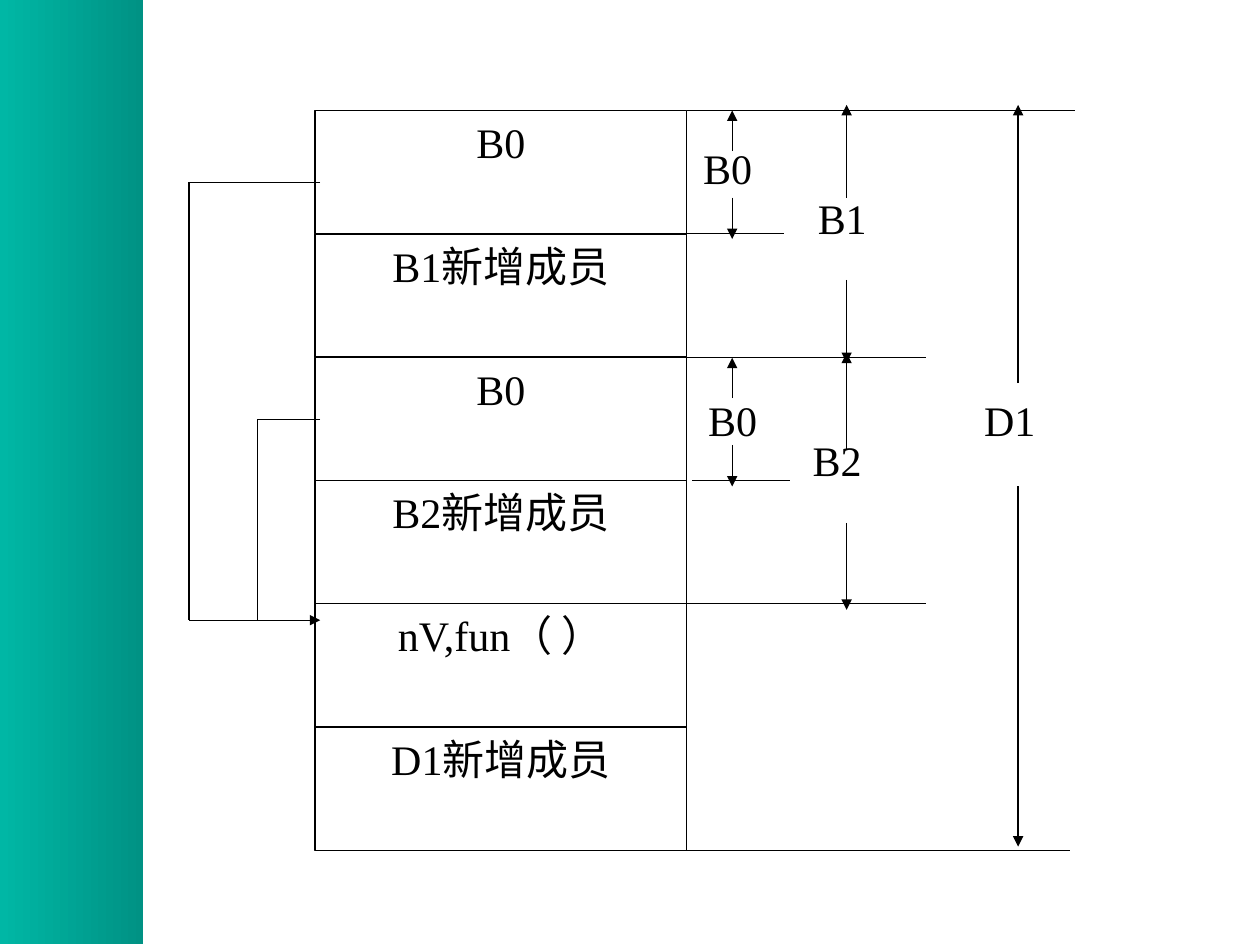
from dataclasses import dataclass

from lxml.etree import SubElement
from pptx import Presentation
from pptx.dml.color import RGBColor
from pptx.enum.shapes import MSO_CONNECTOR as Connector, MSO_SHAPE as Shape
from pptx.enum.text import MSO_ANCHOR as Anchor, PP_ALIGN as Align
from pptx.oxml.ns import qn
from pptx.util import Pt


@dataclass(frozen=True)
class Theme:
    ink: RGBColor = RGBColor(0x00, 0x00, 0x00)
    band_start: RGBColor = RGBColor(0x00, 0xB7, 0xA5)
    band_end: RGBColor = RGBColor(0x00, 0x92, 0x84)
    font: str = "Times New Roman"
    text_size: float = 24
    line_width: float = 0.75


@dataclass(frozen=True)
class Extension:
    """Horizontal line at a row boundary."""
    row: int
    left: float
    right: float


@dataclass(frozen=True)
class Dimension:
    """Two arrows pointing away from a label."""
    label: str
    label_left: float
    label_top: float
    x: float
    top: float
    upper_start: float
    lower_start: float
    bottom: float


THEME = Theme()
CELL_LEFT, CELL_WIDTH = 180, 212.4
CELL_RIGHT = CELL_LEFT + CELL_WIDTH
FIRST_TOP, ROW_HEIGHT = 63.2, 70.45

CELLS = ["B0", "B1新增成员", "B0", "B2新增成员", "nV,fun（ ）", "D1新增成员"]
EXTENSIONS = [
    Extension(0, CELL_RIGHT, 614.4),
    Extension(1, CELL_RIGHT, 448),
    Extension(2, CELL_RIGHT, 529),
    Extension(3, 395.5, 451.2),
    Extension(4, CELL_RIGHT, 529),
    Extension(6, 389, 611.2),
]
DIMENSIONS = [
    Dimension("B0", 401.8, 81.4, 418.4, 63.2, 86.4, 113, 136.6),
    Dimension("B1", 467.3, 110.2, 483.8, 60, 113, 160, 207.4),
    Dimension("B0", 404.6, 225.4, 418.4, 204.4, 227.5, 254.2, 278),
    Dimension("B2", 464.4, 248.4, 483.8, 201.6, 257, 298.8, 348.5),
    Dimension("D1", 562.3, 225.4, 581.8, 60, 218.9, 278, 483.8),
]


def row_top(row: int) -> float:
    return FIRST_TOP + row * ROW_HEIGHT


def write_text(shape, text: str, *, align=Align.CENTER, inset: float = 0) -> None:
    frame = shape.text_frame
    frame.word_wrap = True
    frame.vertical_anchor = Anchor.TOP
    frame.margin_left = frame.margin_right = 0
    frame.margin_top = frame.margin_bottom = Pt(inset)
    paragraph = frame.paragraphs[0]
    paragraph.alignment = align
    run = paragraph.add_run()
    run.text = text
    run.font.name = THEME.font
    run.font.size = Pt(THEME.text_size)
    run.font.color.rgb = THEME.ink


def draw_line(slide, x1: float, y1: float, x2: float, y2: float,
              arrow: bool = False) -> None:
    connector = slide.shapes.add_connector(
        Connector.STRAIGHT, Pt(x1), Pt(y1), Pt(x2), Pt(y2))
    connector.line.color.rgb = THEME.ink
    connector.line.width = Pt(THEME.line_width)
    if arrow:
        SubElement(connector.line._get_or_add_ln(), qn("a:tailEnd"), type="triangle")
    SubElement(connector._element.spPr, qn("a:effectLst"))


def draw_band(slide) -> None:
    band = slide.shapes.add_shape(Shape.RECTANGLE, 0, 0, Pt(82), Pt(539.5))
    band.shadow.inherit = False
    band.line.fill.background()
    band.fill.gradient()
    band.fill.gradient_angle = 0
    colors = (THEME.band_start, THEME.band_end)
    for stop, position, color in zip(band.fill.gradient_stops, (0, 1), colors):
        stop.position = position
        stop.color.rgb = color


def draw_cell(slide, row: int, text: str) -> None:
    cell = slide.shapes.add_shape(
        Shape.RECTANGLE, Pt(CELL_LEFT), Pt(row_top(row)), Pt(CELL_WIDTH), Pt(ROW_HEIGHT))
    cell.shadow.inherit = False
    cell.fill.background()
    cell.line.color.rgb = THEME.ink
    cell.line.width = Pt(THEME.line_width)
    write_text(cell, text, inset=3.6)


def draw_dimension(slide, item: Dimension) -> None:
    draw_line(slide, item.x, item.upper_start, item.x, item.top, arrow=True)
    draw_line(slide, item.x, item.lower_start, item.x, item.bottom, arrow=True)
    label = slide.shapes.add_textbox(
        Pt(item.label_left), Pt(item.label_top), Pt(59), Pt(44))
    write_text(label, item.label, align=Align.JUSTIFY)


def draw_pointers(slide) -> None:
    outer_x, inner_x, end_x, target_y = 108, 147, 183, 354.4
    for x, y in ((outer_x, 104.2), (inner_x, 239.6)):
        draw_line(slide, end_x, y, x, y)
        draw_line(slide, x, y, x, target_y)
    draw_line(slide, outer_x, target_y, end_x, target_y, arrow=True)


def main() -> None:
    presentation = Presentation()
    presentation.slide_width, presentation.slide_height = Pt(720), Pt(540)
    slide = presentation.slides.add_slide(presentation.slide_layouts[6])

    # Side band
    draw_band(slide)

    # Memory layout
    for row, text in enumerate(CELLS):
        draw_cell(slide, row, text)

    # Extents of each class
    for item in EXTENSIONS:
        draw_line(slide, item.left, row_top(item.row), item.right, row_top(item.row))
    for item in DIMENSIONS:
        draw_dimension(slide, item)

    # Links from both B0 parts to the shared member
    draw_pointers(slide)

    presentation.save("out.pptx")


if __name__ == "__main__":
    main()
